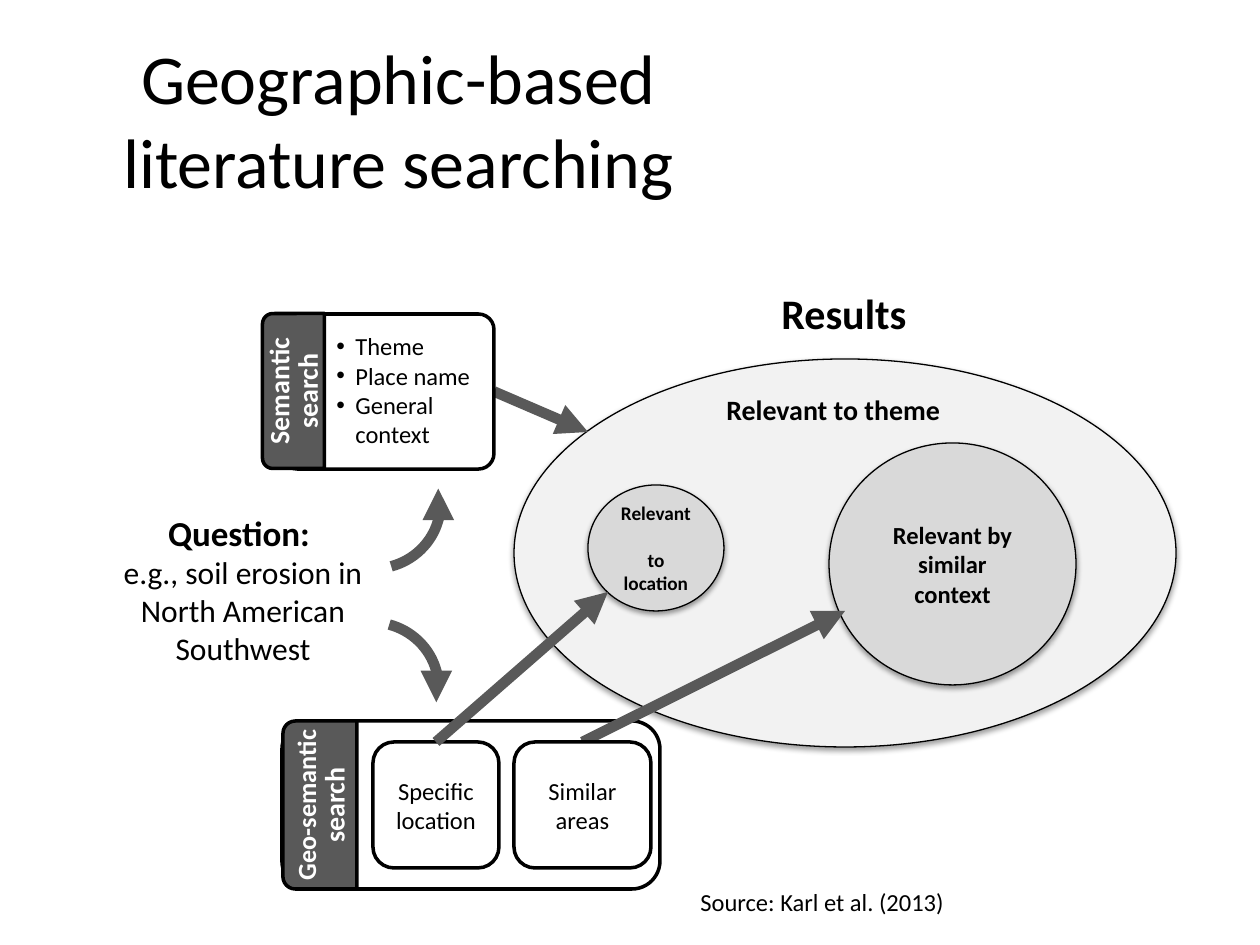
"""Build a slide that explains geographic-based literature searching."""
from copy import deepcopy

from lxml import etree
from pptx import Presentation
from pptx import util as u
from pptx.dml.color import RGBColor
from pptx.enum import shapes, text
from pptx.oxml import ns

PX = 914400 / 126
BLACK = RGBColor(0x00, 0x00, 0x00)
WHITE = RGBColor(0xFF, 0xFF, 0xFF)
DARK = RGBColor(0x59, 0x59, 0x59)
MIDDLE = RGBColor(0xD9, 0xD9, 0xD9)
LIGHT = RGBColor(0xF2, 0xF2, 0xF2)
KIND = shapes.MSO_SHAPE
CENTER = text.PP_ALIGN.CENTER
LEFT = text.PP_ALIGN.LEFT


def draw(parent, kind, box, fill=None, line=None, width=2):
    shape = parent.add_shape(kind, *[round(value * PX) for value in box])
    shape.shadow.inherit = False
    if fill is None:
        shape.fill.background()
    else:
        shape.fill.solid()
        shape.fill.fore_color.rgb = fill
    if line is None:
        shape.line.fill.background()
    else:
        shape.line.color.rgb = line
        shape.line.width = u.Pt(width)
    return shape


def write(shape, words, sizes, color=BLACK, bold=(False,), align=CENTER, spacing=None):
    shape.text_frame.text = words
    for paragraph in shape.text_frame.paragraphs:
        paragraph.alignment = align
        paragraph.line_spacing = spacing
        for index, run in enumerate(paragraph.runs):
            run.font.name = "Calibri"
            run.font.size = u.Pt(sizes[min(index, len(sizes) - 1)])
            run.font.bold = bold[min(index, len(bold) - 1)]
            run.font.color.rgb = color
        for line_break in paragraph._p.findall(ns.qn("a:br")):
            line_break.insert(0, deepcopy(paragraph.runs[0].font._element))


presentation = Presentation()
presentation.slide_width = round(1260 * PX)
presentation.slide_height = round(945 * PX)
slide = presentation.slides.add_slide(presentation.slide_layouts[6])

geo_group = slide.shapes.add_group_shape().shapes
draw(geo_group, KIND.ROUNDED_RECTANGLE, (282, 721, 378, 168), WHITE, BLACK)
specific = draw(geo_group, KIND.ROUNDED_RECTANGLE, (373, 742, 126, 126), WHITE, BLACK)
write(specific, "Specific location", [14])
geo_bar = draw(geo_group, KIND.ROUND_2_SAME_RECTANGLE, (236, 768, 168, 74), DARK, BLACK)
geo_bar.rotation = 270
geo_bar.text_frame.margin_left = geo_bar.text_frame.margin_right = round(4 * PX)
write(geo_bar, "Geo-semantic", [15], WHITE, [True], spacing=0.85)
search_run = geo_bar.text_frame.paragraphs[0].add_run()
search_run.text = " search"
search_run.font.name = "Calibri"
search_run.font.size = u.Pt(16)
search_run.font.bold = True
search_run.font.color.rgb = WHITE

title = slide.shapes.add_textbox(*[round(value * PX) for value in (72, 39, 653, 158)])
title.text_frame.word_wrap = True
title.text_frame.vertical_anchor = text.MSO_ANCHOR.MIDDLE
write(title, "Geographic-based literature searching", [40])

for box, fill, words, size in (
    ((514, 359, 662, 388), LIGHT, "", 14),
    ((588, 485, 136, 126), MIDDLE, "Relevant \vto location", 11),
    ((829, 443, 247, 242), MIDDLE, "Relevant by similar context", 14),
):
    ellipse = draw(slide.shapes, KIND.OVAL, box, fill, BLACK, 0.75)
    write(ellipse, words, [size], bold=[True])
    effects = ellipse._element.spPr.find(ns.qn("a:effectLst"))
    shadow = etree.SubElement(effects, ns.qn("a:outerShdw"), blurRad="39400",
                              dist="20300", dir="5400000", rotWithShape="0")
    shadow_color = etree.SubElement(shadow, ns.qn("a:srgbClr"), val="000000")
    etree.SubElement(shadow_color, ns.qn("a:alpha"), val="38000")

question = draw(slide.shapes, KIND.ROUNDED_RECTANGLE, (88, 505, 310, 168))
write(question, "Question: \ve.g., soil erosion in North American Southwest",
      [20, 18], bold=[True, False])

arrows = []
for ends in ((436, 742, 608, 592), (583, 742, 845, 611), (494, 391, 588, 432)):
    arrow = slide.shapes.add_connector(shapes.MSO_CONNECTOR.STRAIGHT,
                                       *[round(value * PX) for value in ends])
    arrow.line.color.rgb = DARK
    arrow.line.width = u.Pt(6)
    etree.SubElement(arrow.line._get_or_add_ln(), ns.qn("a:tailEnd"), type="triangle")
    etree.SubElement(arrow._element.spPr, ns.qn("a:effectLst"))
    arrows.append(arrow)

for box, rotation, flipped in (((312, 440, 126, 131), 75.1, False),
                               ((310, 620, 126, 131), 284.9, True)):
    arc = draw(slide.shapes, KIND.ARC, box, None, DARK, 6)
    arc.rotation = rotation
    if flipped:
        arc._element.spPr.xfrm.set("flipV", "1")
    etree.SubElement(arc.line._get_or_add_ln(), ns.qn("a:headEnd"), type="triangle")

similar = draw(slide.shapes, KIND.ROUNDED_RECTANGLE, (514, 742, 137, 126), WHITE, BLACK)
similar.text_frame.margin_left = similar.text_frame.margin_right = round(4 * PX)
write(similar, "Similar areas", [14])

semantic_group = slide.shapes.add_group_shape().shapes
semantic = draw(semantic_group, KIND.ROUNDED_RECTANGLE, (282, 314, 212, 155), WHITE, BLACK)
semantic.adjustments[0] = 0.1
semantic_bar = draw(semantic_group, KIND.ROUND_2_SAME_RECTANGLE, (216, 360, 155, 62), DARK, BLACK)
semantic_bar.rotation = 270
write(semantic_bar, "Semantic search", [16], WHITE, [True], spacing=0.85)

for arrow, source in zip(arrows, (specific, similar, semantic), strict=True):
    arrow.begin_connect(source, 3 if source is semantic else 0)

for parent, box, words, size, bold, wrap in (
    (slide.shapes, (714, 386, 241, 47), "Relevant to theme", 16, True, False),
    (semantic_group, (324, 325, 169, 131), "Theme\nPlace name\nGeneral context", 14, False, True),
    (slide.shapes, (769, 281, 152, 63), "Results", 24, True, False),
    (slide.shapes, (688, 881, 388, 43), "Source: Karl et al. (2013)", 14, False, True),
):
    label = parent.add_textbox(*[round(value * PX) for value in box])
    label.text_frame.word_wrap = wrap
    label.text_frame.auto_size = text.MSO_AUTO_SIZE.SHAPE_TO_FIT_TEXT
    write(label, words, [size], bold=[bold], align=LEFT)
    if parent is semantic_group:
        for paragraph in label.text_frame.paragraphs:
            properties = paragraph._p.get_or_add_pPr()
            properties.set("marL", str(round(19 * PX)))
            properties.set("indent", str(round(-19 * PX)))
            etree.SubElement(properties, ns.qn("a:buFont"), typeface="Arial")
            etree.SubElement(properties, ns.qn("a:buChar"), char="•")

presentation.save("out.pptx")
